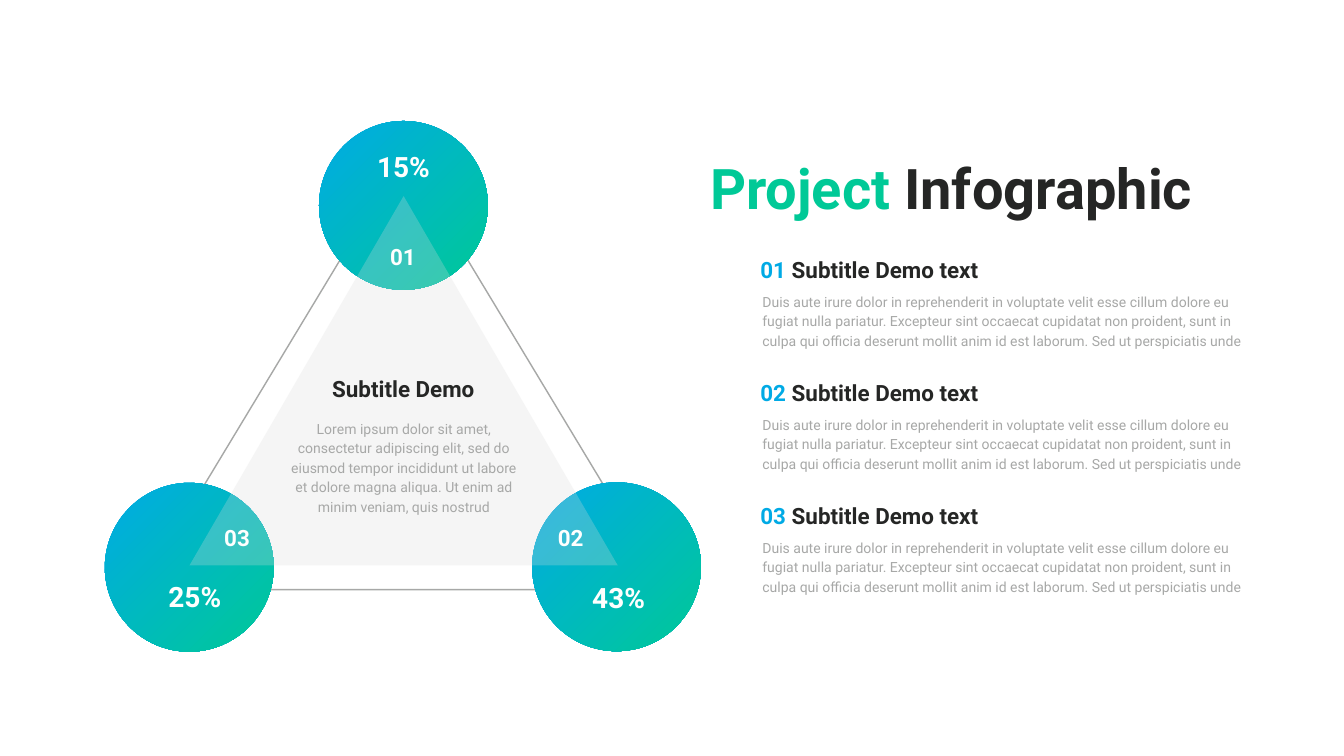
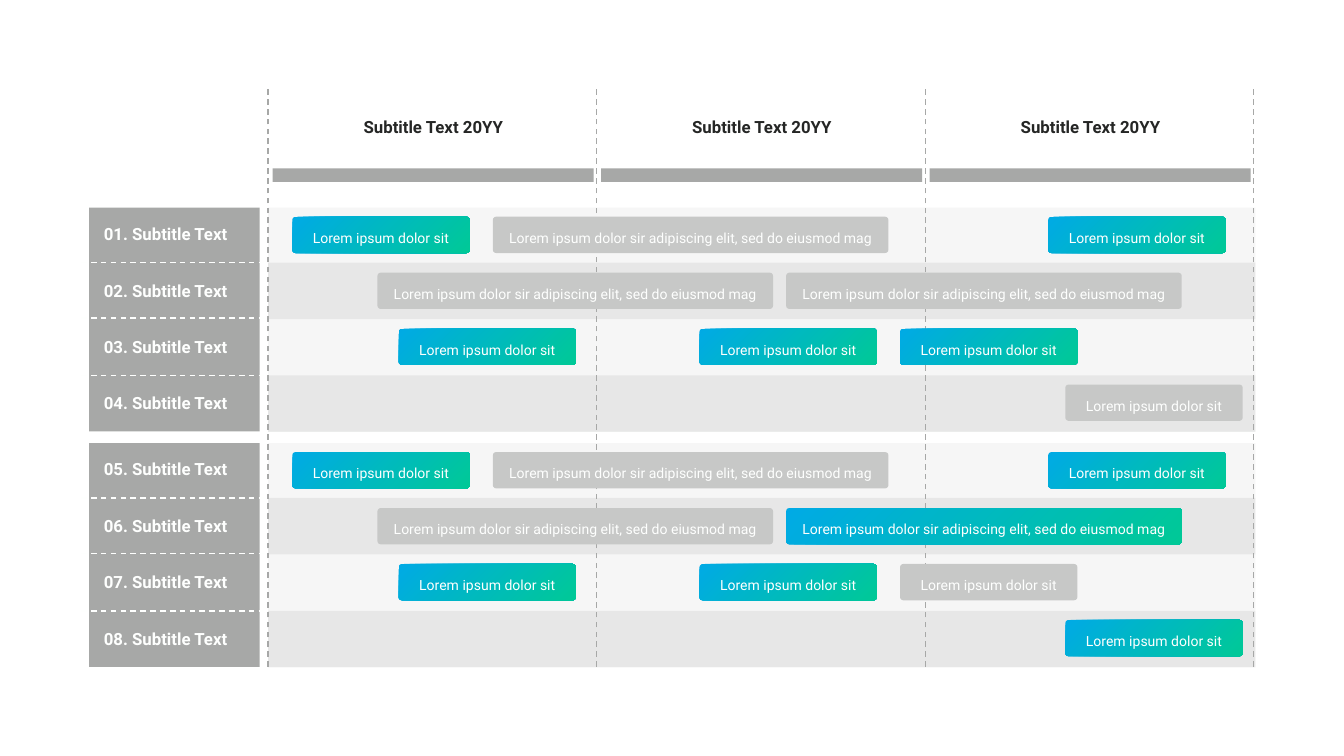
"""Build a triangle infographic page and a three-column schedule page."""
from lxml.etree import SubElement
from pptx import Presentation
from pptx.dml.color import RGBColor
from pptx.enum.dml import MSO_LINE
from pptx.enum.shapes import MSO_CONNECTOR, MSO_SHAPE
from pptx.enum.text import MSO_ANCHOR, MSO_AUTO_SIZE, PP_ALIGN
from pptx.oxml.ns import qn
from pptx.util import Pt

PX = 9144
FONT = "Roboto"
BLUE = RGBColor(0x00, 0xAA, 0xE5)
GREEN = RGBColor(0x00, 0xC9, 0x97)
DARK = RGBColor(0x25, 0x26, 0x25)
GRAY = RGBColor(0xA7, 0xA8, 0xA7)
CHIP_GRAY = RGBColor(0xC7, 0xC8, 0xC7)
PALE = RGBColor(0xDC, 0xDC, 0xDC)
WHITE = RGBColor(0xFE, 0xFF, 0xFE)
LEFT, CENTER = PP_ALIGN.LEFT, PP_ALIGN.CENTER
TOP, MIDDLE = MSO_ANCHOR.TOP, MSO_ANCHOR.MIDDLE
TIGHT, BODY_INSETS = (6, 6, 6, 6), (10, 5, 10, 5)

ITEM_TEXT = (
    "Duis aute irure dolor in reprehenderit in voluptate velit esse cillum dolore eu "
    "fugiat nulla pariatur. Excepteur sint occaecat cupidatat non proident, sunt in "
    "culpa qui officia deserunt mollit anim id est laborum. Sed ut perspiciatis unde"
)
CENTER_TEXT = (
    "Lorem ipsum dolor sit amet, consectetur adipiscing elit, sed do eiusmod tempor "
    "incididunt ut labore et dolore magna aliqua. Ut enim ad minim veniam, quis nostrud"
)
# Each node: circle offset, share and its offset, number and its offset.
NODES = [
    ((425, 0), "15%", (105, 51), "01", (120, 236)),
    ((848, 717), "43%", (109, 188), "02", (30, 77)),
    ((0, 718), "25%", (116, 185), "03", (216, 76)),
]
SHORT_CHIP = (352, "Lorem ipsum dolor sit")
LONG_CHIP = (785, "Lorem ipsum dolor sir adipiscing elit, sed do eiusmod mag")
# Each row: chips with their offset from the left edge of the board.
CHIP_ROWS = [
    [(48, SHORT_CHIP), (446, LONG_CHIP), (1548, SHORT_CHIP)],
    [(217, LONG_CHIP), (1028, LONG_CHIP)],
    [(259, SHORT_CHIP), (856, SHORT_CHIP), (1254, SHORT_CHIP)],
    [(1582, SHORT_CHIP)],
]
# Each block: top, first row number, offsets of the highlighted chips.
BLOCKS = [
    (412, 1, {48, 1548, 259, 856, 1254}),
    (879, 5, {48, 1548, 1028, 259, 856, 1582}),
]
DIVIDERS = (109, 219, 333)


def emu(*lengths):
    """Turn px lengths into EMU."""
    return [length * PX for length in lengths]


def write(frame, spans, size, align=LEFT, anchor=TOP, insets=TIGHT, bold=True, leading=None):
    """Fill a text frame with one paragraph of (text, colour) spans."""
    frame.word_wrap = True
    frame.auto_size = MSO_AUTO_SIZE.NONE
    frame.vertical_anchor = anchor
    (frame.margin_left, frame.margin_top,
     frame.margin_right, frame.margin_bottom) = emu(*insets)
    para = frame.paragraphs[0]
    para.alignment = align
    if leading:
        para.line_spacing = Pt(leading)
    font = para.font
    font.name, font.size, font.bold = FONT, Pt(size), bold
    font.color.rgb = spans[0][1]
    for text, color in spans:
        span = para.add_run()
        span.text = text
        if len(spans) > 1:
            span.font.color.rgb = color


def add_label(shapes, box, spans, size, align=CENTER):
    """Add a bold one-line label, centred vertically in its box."""
    frame = shapes.add_textbox(*emu(*box)).text_frame
    write(frame, spans, size, align, MIDDLE)


def add_body(shapes, box, text, align=LEFT):
    """Add a gray running paragraph."""
    frame = shapes.add_textbox(*emu(*box)).text_frame
    write(frame, [(text, GRAY)], 20, align, insets=BODY_INSETS, bold=False, leading=28)


def add_block(shapes, kind, box, color=None, alpha=None):
    """Add a borderless shape: plain, translucent, or unfilled without a colour."""
    shape = shapes.add_shape(kind, *emu(*box))
    shape.shadow.inherit = False
    shape.line.fill.background()
    if color is None:
        shape.fill.background()
        return shape
    shape.fill.solid()
    shape.fill.fore_color.rgb = color
    if alpha:
        tint = shape.element.spPr.find(qn("a:solidFill")).find(qn("a:srgbClr"))
        SubElement(tint, qn("a:alpha"), val=str(alpha * 1000))
    return shape


def apply_gradient(shape):
    """Fill a shape from blue at top left to green at bottom right."""
    shape.fill.gradient()
    shape.fill.gradient_angle = 315
    for stop, color in zip(shape.fill.gradient_stops, (BLUE, GREEN)):
        stop.color.rgb = color


def add_dashes(shapes, start, end, color):
    """Add a dashed straight line."""
    line = shapes.add_connector(MSO_CONNECTOR.STRAIGHT, *emu(*start, *end))
    line.line.color.rgb = color
    line.line.width = Pt(2)
    line.line.dash_style = MSO_LINE.DASH
    SubElement(line.element.spPr, qn("a:effectLst"))


def add_title(page, box, spans):
    """Place and write the title placeholder."""
    title = page.shapes.title
    title.left, title.top, title.width, title.height = emu(*box)
    write(title.text_frame, spans, 80)


def add_triangle_diagram(page, left, top):
    """Draw the triangle with a gradient circle at each corner."""
    shapes = page.shapes.add_group_shape().shapes
    frame = add_block(shapes, MSO_SHAPE.ISOSCELES_TRIANGLE, (left + 72, top + 66, 1043, 864))
    frame.line.color.rgb = GRAY
    frame.line.width = Pt(2)
    for (x, y), *_ in NODES:
        apply_gradient(add_block(shapes, MSO_SHAPE.OVAL, (left + x, top + y, 335, 335)))
    add_block(shapes, MSO_SHAPE.ISOSCELES_TRIANGLE,
              (left + 168, top + 149, 850, 733), PALE, 26)
    for (x, y), share, (share_x, share_y), number, (number_x, number_y) in NODES:
        add_label(shapes, (left + x + share_x, top + y + share_y, 125, 79),
                  [(share, WHITE)], 40)
        add_label(shapes, (left + x + number_x, top + y + number_y, 93, 65),
                  [(number, WHITE)], 32)
    add_label(shapes, (left + 425, top + 499, 335, 65), [("Subtitle Demo", DARK)], 32)
    add_body(shapes, (left + 349, top + 583, 489, 204), CENTER_TEXT, CENTER)


def add_item(page, left, top, number):
    """Add one numbered subtitle with its paragraph."""
    shapes = page.shapes.add_group_shape().shapes
    add_body(shapes, (left, top + 68, 1020, 125), ITEM_TEXT)
    add_label(shapes, (left, top, 544, 65),
              [(f"{number:02}", BLUE), (" Subtitle Demo text", DARK)], 32, LEFT)


def add_column_heads(shapes, left, top, pitch=652, count=3):
    """Draw the dashed column lines, headings and bars."""
    for index in range(count + 1):
        x = left + index * pitch
        add_dashes(shapes, (x, top + 1146), (x, top), GRAY)
    for index in range(count):
        x = left + index * pitch
        add_block(shapes, MSO_SHAPE.RECTANGLE, (x + 9, top + 157, 637, 27), GRAY)
        add_label(shapes, (x + 136, top + 49, 384, 52), [("Subtitle Text 20YY", DARK)], 24)


def add_chip(shapes, left, top, kind, highlighted):
    """Add one rounded task bar holding its text."""
    width, text = kind
    chip = add_block(shapes, MSO_SHAPE.ROUNDED_RECTANGLE, (left, top, width, 72), CHIP_GRAY)
    chip.adjustments[0] = 0.09
    if highlighted:
        apply_gradient(chip)
    write(chip.text_frame, [(text, WHITE)], 20, CENTER,
          insets=(20, 18, 20, 0), bold=False, leading=28)


def add_schedule_block(shapes, left, top, first_number, highlights):
    """Draw four schedule rows with row labels to the left of the board."""
    add_block(shapes, MSO_SHAPE.RECTANGLE, (left, top, 1959, 444), GRAY, 10)
    add_block(shapes, MSO_SHAPE.RECTANGLE, (left - 355, top, 338, 444), GRAY)
    for divider in DIVIDERS[::2]:
        add_block(shapes, MSO_SHAPE.RECTANGLE, (left, top + divider, 1959, 112), GRAY, 18)
    for divider in DIVIDERS:
        add_dashes(shapes, (left - 371, top + divider), (left - 2, top + divider), WHITE)
    for row, chips in enumerate(CHIP_ROWS):
        add_label(shapes, (left - 332, top + 26 + 112 * row, 275, 52),
                  [(f"{first_number + row:02}. Subtitle Text", WHITE)], 24, LEFT)
        for x, kind in chips:
            add_chip(shapes, left + x, top + 18 + 111 * row, kind, x in highlights)


def build_infographic(deck):
    """Build the triangle infographic page."""
    page = deck.slides.add_slide(deck.slide_layouts[5])
    add_title(page, (1403, 298, 1037, 146), [("Project", GREEN), (" Infographic", DARK)])
    add_triangle_diagram(page, 208, 240)
    for index in range(3):
        add_item(page, 1503, 503 + 244 * index, index + 1)


def build_schedule(deck):
    """Build the schedule page."""
    page = deck.slides.add_slide(deck.slide_layouts[6])
    shapes = page.shapes.add_group_shape().shapes
    add_column_heads(shapes, 532, 177)
    for top, first_number, highlights in BLOCKS:
        add_schedule_block(shapes, 532, top, first_number, highlights)


def main():
    """Create and save the deck."""
    deck = Presentation()
    deck.slide_width, deck.slide_height = emu(2667, 1500)
    build_infographic(deck)
    build_schedule(deck)
    deck.save("out.pptx")


if __name__ == "__main__":
    main()
